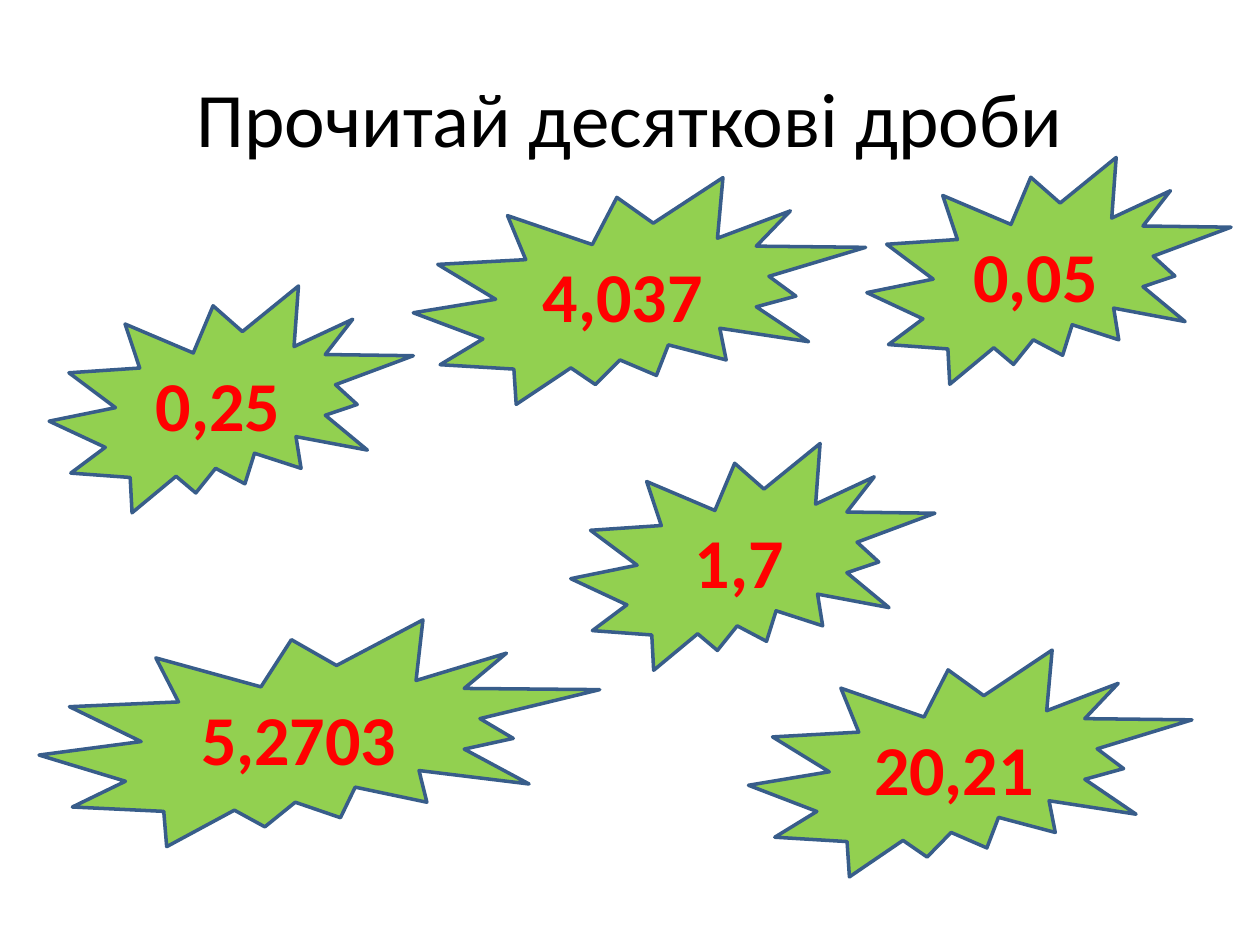
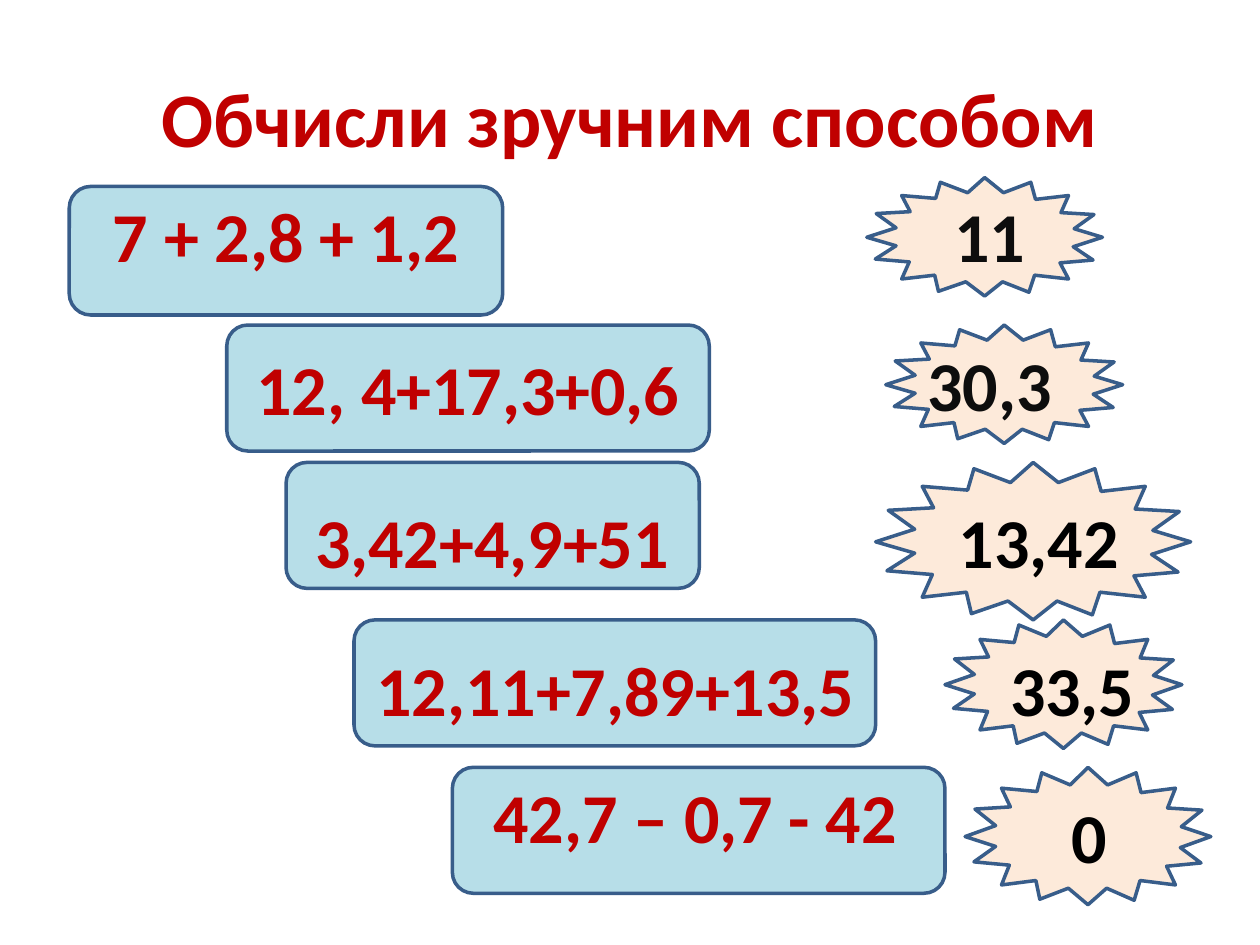
"""Build two slides of decimal fraction exercises."""
from dataclasses import dataclass

from pptx import Presentation
from pptx.dml.color import RGBColor
from pptx.enum.shapes import MSO_SHAPE as Kind
from pptx.enum.text import MSO_ANCHOR as Anchor, MSO_AUTO_SIZE as Fit, PP_ALIGN as Align
from pptx.shapes.autoshape import Shape
from pptx.slide import Slide
from pptx.text.text import TextFrame
from pptx.util import Emu, Pt

PX = 9144
FONT = "Calibri"
BLACK, INK, RED, WINE = "000000", "0D0D0D", "FF0000", "C00000"
GREEN, BLUE, PEACH, EDGE = "92D050", "B7DEE8", "FDEADA", "385D8A"

STAR_W, STAR_H = 250, 125
STAR = [
    (0, 63), (31, 72), (9, 86), (45, 89), (37, 107), (72, 103), (76, 120), (105, 110),
    (125, 125), (144, 110), (172, 121), (178, 103), (214, 107), (205, 90), (240, 87), (219, 73),
    (250, 63), (220, 54), (241, 39), (206, 37), (214, 19), (179, 23), (174, 5), (145, 16),
    (125, 0), (107, 16), (78, 5), (73, 22), (37, 19), (46, 36), (10, 38), (31, 53),
]


@dataclass(frozen=True)
class Box:
    """A frame in px."""
    x: int
    y: int
    w: int
    h: int

    def emu(self) -> list[Emu]:
        """Return left, top, width and height in EMU."""
        return [Emu(n * PX) for n in (self.x, self.y, self.w, self.h)]


@dataclass(frozen=True)
class Label:
    """A line of text in a frame."""
    text: str
    box: Box
    color: str


BURST_H = 180
BURSTS = [
    Label(text, Box(x, y, w, BURST_H), RED)
    for text, x, y, w in [
        ("0,25", 39, 227, 289),
        ("4,037", 328, 141, 359),
        ("5,2703", 31, 492, 445),
        ("0,05", 688, 125, 289),
        ("1,7", 453, 352, 289),
        ("20,21", 594, 516, 352),
    ]
]

CARDS = [
    Box(55, 148, 344, 102),
    Box(227, 367, 328, 100),
    Box(281, 492, 414, 100),
    Box(359, 609, 391, 100),
]
FULL = Label("12, 4+17,3+0,6", Box(180, 258, 383, 100), WINE)
STARS = [
    Box(688, 141, 187, 94),
    Box(703, 258, 188, 94),
    Box(695, 367, 250, 125),
    Box(750, 492, 188, 102),
    Box(766, 609, 195, 109),
]
TEXT_H = 77
SUMS = [
    Label(text, Box(x, y, w, TEXT_H), WINE)
    for text, x, y, w in [
        ("7 + 2,8 + 1,2", 55, 148, 344),
        ("3,42+4,9+51", 211, 391, 359),
        ("12,11+7,89+13,5", 266, 508, 445),
        ("42,7 – 0,7 - 42 ", 351, 609, 414),
    ]
]
KEYS = [
    Label(text, Box(x, y, w, TEXT_H), color)
    for text, x, y, w, color in [
        ("11", 719, 148, 133, INK),
        ("30,3", 688, 266, 195, INK),
        ("13,42", 719, 391, 211, BLACK),
        ("33,5", 773, 508, 156, BLACK),
        ("0", 797, 625, 135, BLACK),
    ]
]


def rgb(code: str) -> RGBColor:
    """Turn a hex string into a colour."""
    return RGBColor.from_string(code)


def write(frame: TextFrame, text: str, color: str, size: int = 40, bold: bool = True) -> None:
    """Set one centred line of text."""
    frame.word_wrap = True
    para = frame.paragraphs[0]
    para.text = text
    para.alignment = Align.CENTER
    font = para.runs[0].font
    font.name, font.size, font.bold = FONT, Pt(size), bold
    font.color.rgb = rgb(color)


def paint(shape: Shape, fill: str) -> Shape:
    """Give a shape its fill and the shared outline."""
    shape.shadow.inherit = False
    shape.fill.solid()
    shape.fill.fore_color.rgb = rgb(fill)
    shape.line.color.rgb = rgb(EDGE)
    shape.line.width = Pt(2)
    return shape


def draw(slide: Slide, kind: Kind, box: Box, fill: str) -> Shape:
    """Add a painted preset shape."""
    return paint(slide.shapes.add_shape(kind, *box.emu()), fill)


def fill_in(slide: Slide, kind: Kind, label: Label, fill: str) -> None:
    """Add a preset shape that holds its own text."""
    frame = draw(slide, kind, label.box, fill).text_frame
    frame.vertical_anchor = Anchor.MIDDLE
    write(frame, label.text, label.color)


def star(slide: Slide, box: Box) -> None:
    """Add a star stretched over a frame."""
    scale = (box.w * PX / STAR_W, box.h * PX / STAR_H)
    pen = slide.shapes.build_freeform(*STAR[0], scale=scale)
    pen.add_line_segments(STAR[1:], close=True)
    paint(pen.convert_to_shape(*box.emu()[:2]), PEACH)


def note(slide: Slide, label: Label) -> None:
    """Add a text box."""
    frame = slide.shapes.add_textbox(*label.box.emu()).text_frame
    write(frame, label.text, label.color)
    frame.auto_size = Fit.SHAPE_TO_FIT_TEXT


def start(deck: Presentation, text: str, color: str, bold: bool) -> Slide:
    """Add a slide with its title."""
    slide = deck.slides.add_slide(deck.slide_layouts[5])
    title = slide.shapes.title
    title.left, title.top, title.width, title.height = Box(50, 30, 900, 125).emu()
    title.text_frame.vertical_anchor = Anchor.MIDDLE
    write(title.text_frame, text, color, 44, bold)
    return slide


def main() -> None:
    """Build and save the deck."""
    deck = Presentation()
    deck.slide_width, deck.slide_height = Emu(1000 * PX), Emu(750 * PX)

    read = start(deck, "Прочитай десяткові дроби", BLACK, False)
    for burst in BURSTS:
        fill_in(read, Kind.EXPLOSION2, burst, GREEN)

    solve = start(deck, "Обчисли зручним способом", WINE, True)
    for card in CARDS:
        draw(solve, Kind.ROUNDED_RECTANGLE, card, BLUE)
    fill_in(solve, Kind.ROUNDED_RECTANGLE, FULL, BLUE)
    for box in STARS:
        star(solve, box)
    for label in SUMS + KEYS:
        note(solve, label)

    deck.save("out.pptx")


if __name__ == "__main__":
    main()
